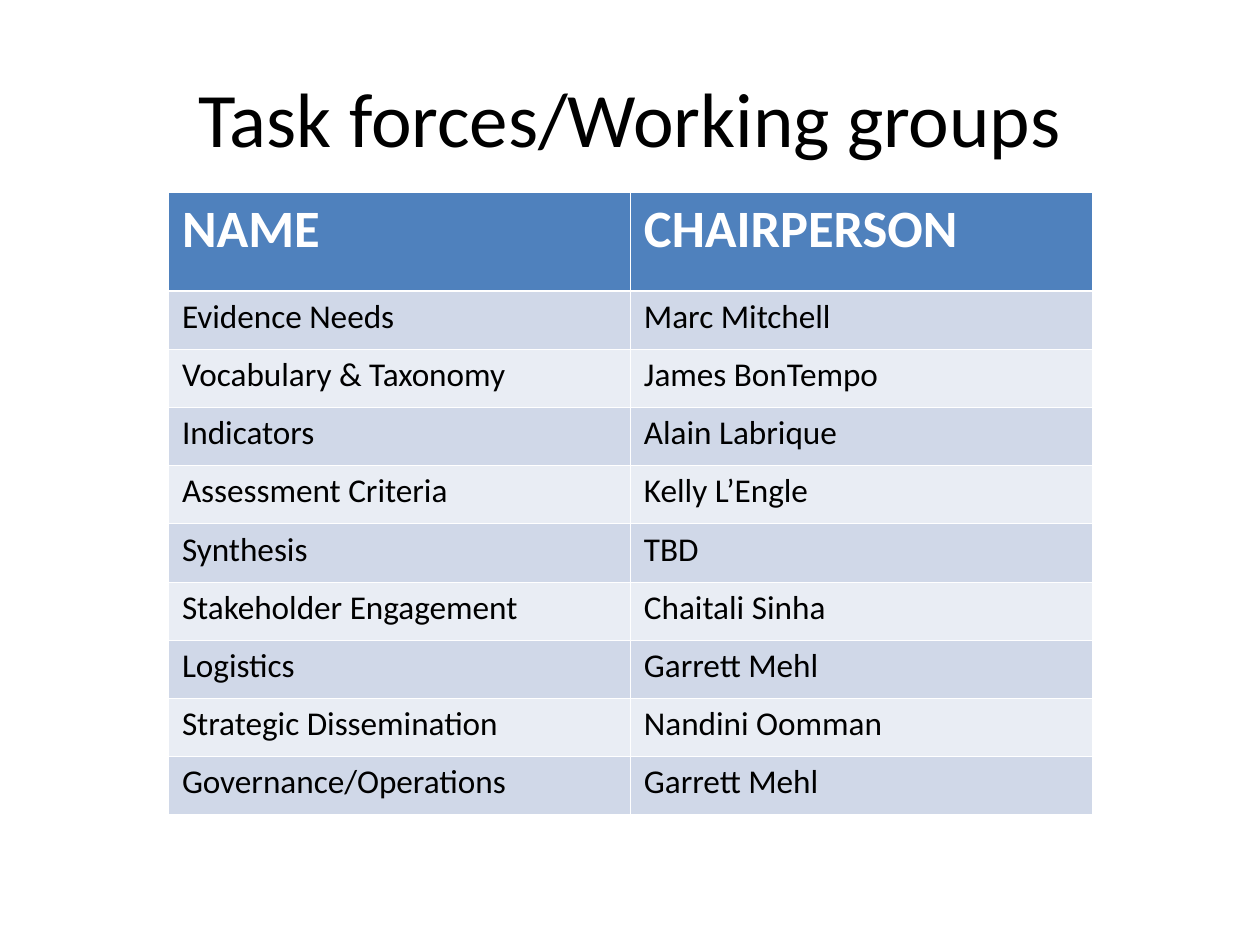
from dataclasses import dataclass

from lxml import etree
from pptx import Presentation
from pptx.dml.color import RGBColor
from pptx.enum import text
from pptx.oxml import ns
from pptx.util import Emu, Pt


@dataclass(frozen=True)
class Theme:
    font: str = "Calibri"
    ink: str = "000000"
    white: str = "FFFFFF"
    header: str = "4F81BD"
    bands: tuple = ("D0D8E8", "E9EDF4")
    title_size: int = 44
    header_size: int = 30
    body_size: int = 19
    thin: float = 0.45
    thick: float = 1.47


THEME = Theme()
TITLE = "Task forces/Working groups"
HEADINGS = ("NAME", "CHAIRPERSON")
GROUPS = (
    ("Evidence Needs", "Marc Mitchell"),
    ("Vocabulary & Taxonomy", "James BonTempo"),
    ("Indicators", "Alain Labrique"),
    ("Assessment Criteria", "Kelly L’Engle"),
    ("Synthesis", "TBD"),
    ("Stakeholder Engagement", "Chaitali Sinha"),
    ("Logistics", "Garrett Mehl"),
    ("Strategic Dissemination", "Nandini Oomman"),
    ("Governance/Operations", "Garrett Mehl"),
)

# Slide size and table grid, in px
SLIDE = (1260, 945)
TITLE_BOX = (63, 38, 1134, 157)
TABLE_LEFT, TABLE_TOP, TABLE_WIDTH = 168, 192, 924
HEADER_HEIGHT, BODY_HEIGHT = 99, 524


def px(n):
    return Emu(round(n * 914400 / 126))


def set_attrs(obj, values):
    for name, value in values.items():
        setattr(obj, name, value)


def set_font(font, size, color, bold=False):
    set_attrs(font, {"name": THEME.font, "size": Pt(size), "bold": bold})
    font.color.rgb = RGBColor.from_string(color)


def add_title(s):
    sp = s.shapes.title
    left, top, width, height = map(px, TITLE_BOX)
    set_attrs(sp, {"left": left, "top": top, "width": width, "height": height})
    tf = sp.text_frame
    set_attrs(tf, {"text": TITLE, "word_wrap": True,
                   "vertical_anchor": text.MSO_ANCHOR.MIDDLE})
    p = tf.paragraphs[0]
    p.alignment = text.PP_ALIGN.CENTER
    set_font(p.runs[0].font, THEME.title_size, THEME.ink)


def set_borders(cell, widths):
    tc_pr = cell._tc.get_or_add_tcPr()
    for side, width in widths.items():
        ln = etree.SubElement(tc_pr, ns.qn(f"a:ln{side}"), w=str(Pt(width)))
        fill = etree.SubElement(ln, ns.qn("a:solidFill"))
        etree.SubElement(fill, ns.qn("a:srgbClr"), val=THEME.white)


def format_cell(cell, words, row):
    is_header = row == 0
    cell.text = words
    set_attrs(cell, {"margin_left": px(14), "margin_right": px(14),
                     "margin_top": px(6), "margin_bottom": px(6)})
    # A thick rule parts the header from the body
    set_borders(cell, {"L": THEME.thin, "R": THEME.thin,
                       "T": THEME.thick if row == 1 else THEME.thin,
                       "B": THEME.thick if is_header else THEME.thin})
    fill = THEME.header if is_header else THEME.bands[(row - 1) % 2]
    cell.fill.solid()
    cell.fill.fore_color.rgb = RGBColor.from_string(fill)
    size, color = ((THEME.header_size, THEME.white) if is_header
                   else (THEME.body_size, THEME.ink))
    set_font(cell.text_frame.paragraphs[0].runs[0].font, size, color, is_header)


def add_groups_table(s):
    rows = (HEADINGS, *GROUPS)
    table = s.shapes.add_table(
        len(rows), len(HEADINGS), px(TABLE_LEFT), px(TABLE_TOP),
        px(TABLE_WIDTH), px(HEADER_HEIGHT + BODY_HEIGHT)).table
    for column in table.columns:
        column.width = px(TABLE_WIDTH / len(HEADINGS))
    for i, row in enumerate(rows):
        table.rows[i].height = px(BODY_HEIGHT / len(GROUPS) if i else HEADER_HEIGHT)
        for j, words in enumerate(row):
            format_cell(table.cell(i, j), words, i)


def main():
    prs = Presentation()
    prs.slide_width, prs.slide_height = map(px, SLIDE)
    s = prs.slides.add_slide(prs.slide_layouts.get_by_name("Title Only"))
    add_groups_table(s)
    add_title(s)
    prs.save("out.pptx")


if __name__ == "__main__":
    main()
